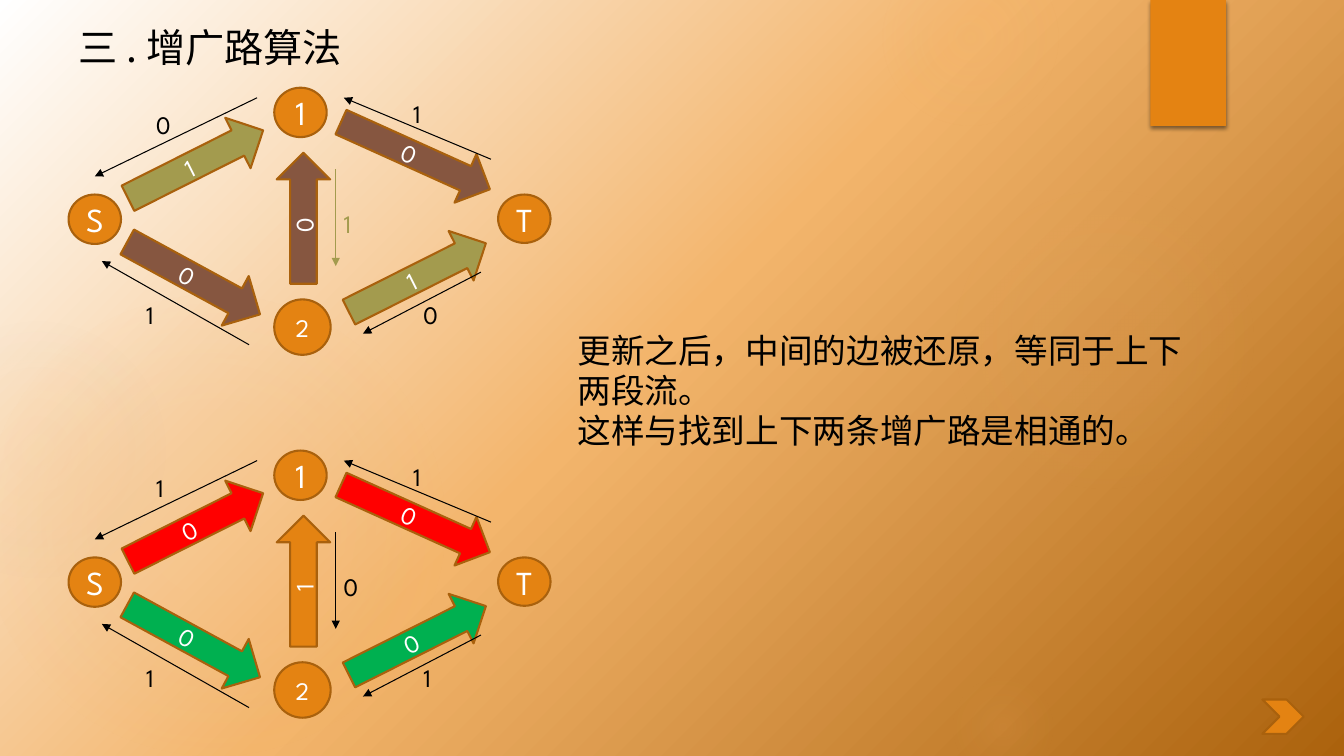
"""Build the slide comparing two residual graphs of the augmenting path algorithm."""
from lxml import etree
from pptx import Presentation
from pptx.dml.color import RGBColor
from pptx.enum import shapes, text
from pptx.oxml.ns import qn
from pptx.util import Inches, Pt

COLORS = {
    "black": "000000", "white": "FFFFFF", "orange": "E48312", "edge": "A9610D",
    "olive": "A39B4E", "brown": "865640", "red": "FF0000", "green": "00B050",
    "peach": "F3B56C", "sage": "A2AF92", "rust": "AB620D",
}
COLOR = {name: RGBColor.from_string(value) for name, value in COLORS.items()}
LATIN, CHINESE = "League Spartan", "Noto Sans CJK SC"
KIND = shapes.MSO_SHAPE


def set_gradient(element, stops):
    """Replace the stops of the gradient in an element."""
    gradient = element.find(".//" + qn("a:gradFill"))
    stop_list = gradient.find(qn("a:gsLst"))
    for stop in list(stop_list):
        stop_list.remove(stop)
    for position, color, opacity in stops:
        stop = etree.SubElement(stop_list, qn("a:gs"), pos=str(position * 1000))
        value = etree.SubElement(stop, qn("a:srgbClr"), val=COLORS[color])
        etree.SubElement(value, qn("a:alpha"), val=str(opacity * 1000))
    return gradient


def write(shape, lines, size, color, font=LATIN, align=text.PP_ALIGN.LEFT,
          anchor=text.MSO_ANCHOR.TOP):
    """Put formatted paragraphs in a shape."""
    frame = shape.text_frame
    frame.word_wrap = True
    frame.vertical_anchor = anchor
    frame.text = "\n".join(lines)
    for paragraph in frame.paragraphs:
        paragraph.alignment = align
        run = paragraph.runs[0]
        for name, value in {"name": font, "size": Pt(size)}.items():
            setattr(run.font, name, value)
        run.font.color.rgb = COLOR[color]
        etree.SubElement(run.font._element, qn("a:ea"), typeface=font)


presentation = Presentation()
presentation.slide_width, presentation.slide_height = Inches(13.33), Inches(7.5)
slide = presentation.slides.add_slide(presentation.slide_layouts[5])

slide.background.fill.gradient()
slide.background.fill.gradient_angle = 315
set_gradient(slide.background._cSld,
             [(0, "white", 100), (48, "peach", 100), (100, "rust", 100)])

glows = [
    (-0.17, 2.92, 4.58, [(0, "peach", 11), (36, "peach", 10), (75, "peach", 0)]),
    (-0.92, 3.17, 2.58, [(0, "peach", 8), (36, "peach", 5), (71, "sage", 0)]),
    (9.41, 1.83, 3.08, [(0, "peach", 7), (36, "peach", 6), (69, "peach", 0)]),
    (8.75, -0.5, 1.75, [(0, "peach", 14), (36, "peach", 7), (73, "peach", 0)]),
    (9.41, 6.67, 1.08, [(0, "peach", 10), (31, "peach", 5), (66, "peach", 0)]),
]
for left, top, size, stops in glows:
    glow = slide.shapes.add_shape(KIND.OVAL, Inches(left), Inches(top), Inches(size), Inches(size))
    glow.shadow.inherit = False
    glow.line.fill.background()
    glow.fill.gradient()
    gradient = set_gradient(glow._element, stops)
    gradient.remove(gradient.find(qn("a:lin")))
    circle = etree.SubElement(gradient, qn("a:path"), path="circle")
    etree.SubElement(circle, qn("a:fillToRect"), dict.fromkeys("ltrb", "50000"))

ribbon = slide.shapes.add_shape(KIND.RECTANGLE, Inches(11.41), 0, Inches(0.75), Inches(1.25))
ribbon.shadow.inherit = False
ribbon.fill.solid()
ribbon.fill.fore_color.rgb = COLOR["orange"]
ribbon.line.fill.background()
effects = ribbon._element.spPr.find(qn("a:effectLst"))
shadow = etree.SubElement(effects, qn("a:outerShdw"), blurRad=str(Pt(3)), dist=str(Pt(2)),
                          dir="5400000", algn="ctr", rotWithShape="0")
shadow_color = etree.SubElement(shadow, qn("a:srgbClr"), val=COLORS["black"])
etree.SubElement(shadow_color, qn("a:alpha"), val="45000")

title = slide.shapes.title
box = {"left": 0.68, "top": 0.18, "width": 8.7, "height": 0.57}
for name, value in box.items():
    setattr(title, name, Inches(value))
write(title, ["三 . 增广路算法"], 28, "black", CHINESE)
title.text_frame.auto_size = text.MSO_AUTO_SIZE.NONE

nodes = [
    ("S", 0.68, 1.93, 0.52, 0.49, 24),
    ("1", 2.72, 0.87, 0.52, 0.49, 24),
    ("T", 4.94, 1.93, 0.52, 0.48, 24),
    ("2", 2.72, 2.97, 0.56, 0.55, 18),
]
arrows = [
    (1.19, 1.35, 1.5, 0.56, 333.3),
    (3.31, 1.28, 1.62, 0.53, 24.3),
    (1.17, 2.48, 1.5, 0.56, 28.6),
    (2.36, 1.9, 1.3, 0.53, 270),
    (3.38, 2.48, 1.52, 0.55, 333.3),
]
back_edges = [
    (2.55, 0.97, 0.94, 1.75),
    (4.87, 1.58, 3.41, 0.97),
    (2.47, 3.42, 1.01, 2.59),
    (3.33, 1.68, 3.33, 2.64),
    (4.77, 2.7, 3.6, 3.31),
]
labels = [(1.45, 1.04, 0.79), (4, 0.93, 0.93), (1.35, 2.92, 0.89),
          (3.31, 2.02, 0.6), (4.1, 2.92, 1.02)]
graphs = [
    (0, ["olive", "brown", "brown", "brown", "olive"], "10001", "01110", "olive"),
    (3.6, ["red", "red", "green", "orange", "green"], "00010", "11101", "black"),
]

outlined = [(KIND.CHEVRON, "", 12.52, 6.94, 0.41, 0.34, 0, 18, "orange")]
for offset, fills, forward, backward, middle in graphs:
    for name, left, top, width, height, size in nodes:
        outlined.append((KIND.FLOWCHART_CONNECTOR, name, left, top + offset,
                         width, height, 0, size, "orange"))
    for (left, top, width, height, angle), fill, flow in zip(arrows, fills, forward):
        outlined.append((KIND.RIGHT_ARROW, flow, left, top + offset,
                         width, height, angle, 18, fill))

for kind, caption, left, top, width, height, angle, size, fill in outlined:
    shape = slide.shapes.add_shape(kind, Inches(left), Inches(top), Inches(width), Inches(height))
    shape.shadow.inherit = False
    shape.rotation = angle
    shape.fill.solid()
    shape.fill.fore_color.rgb = COLOR[fill]
    shape.line.color.rgb = COLOR["edge"]
    shape.line.width = Pt(1.5)
    if caption:
        write(shape, [caption], size, "white", align=text.PP_ALIGN.CENTER,
              anchor=text.MSO_ANCHOR.MIDDLE)

for offset, fills, forward, backward, middle in graphs:
    edge_colors = ["black", "black", "black", middle, "black"]
    for (x1, y1, x2, y2), place, flow, color in zip(back_edges, labels, backward, edge_colors):
        edge = slide.shapes.add_connector(shapes.MSO_CONNECTOR.STRAIGHT, Inches(x1),
                                          Inches(y1 + offset), Inches(x2), Inches(y2 + offset))
        edge.line.color.rgb = COLOR[color]
        edge.line.width = Pt(0.75)
        etree.SubElement(edge.line._get_or_add_ln(), qn("a:tailEnd"), type="triangle")
        etree.SubElement(edge._element.spPr, qn("a:effectLst"))
        left, top, width = place
        label = slide.shapes.add_textbox(Inches(left), Inches(top + offset),
                                         Inches(width), Inches(0.4))
        write(label, [flow], 18, color)

note = slide.shapes.add_textbox(Inches(5.63), Inches(3.22), Inches(6.25), Inches(1.31))
write(note, ["更新之后，中间的边被还原，等同于上下两段流。",
             "这样与找到上下两条增广路是相通的。"], 24, "black")

presentation.save("out.pptx")
